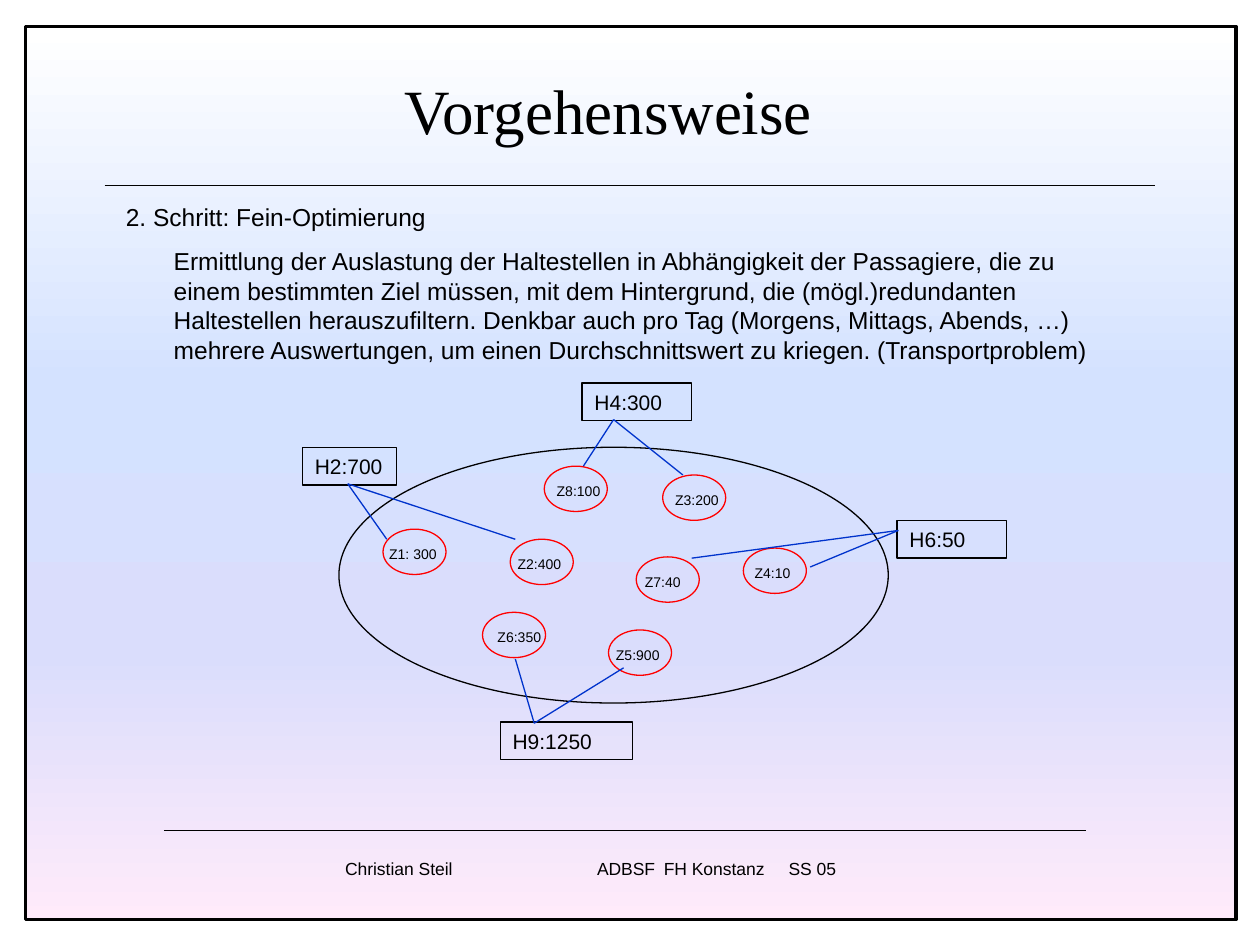
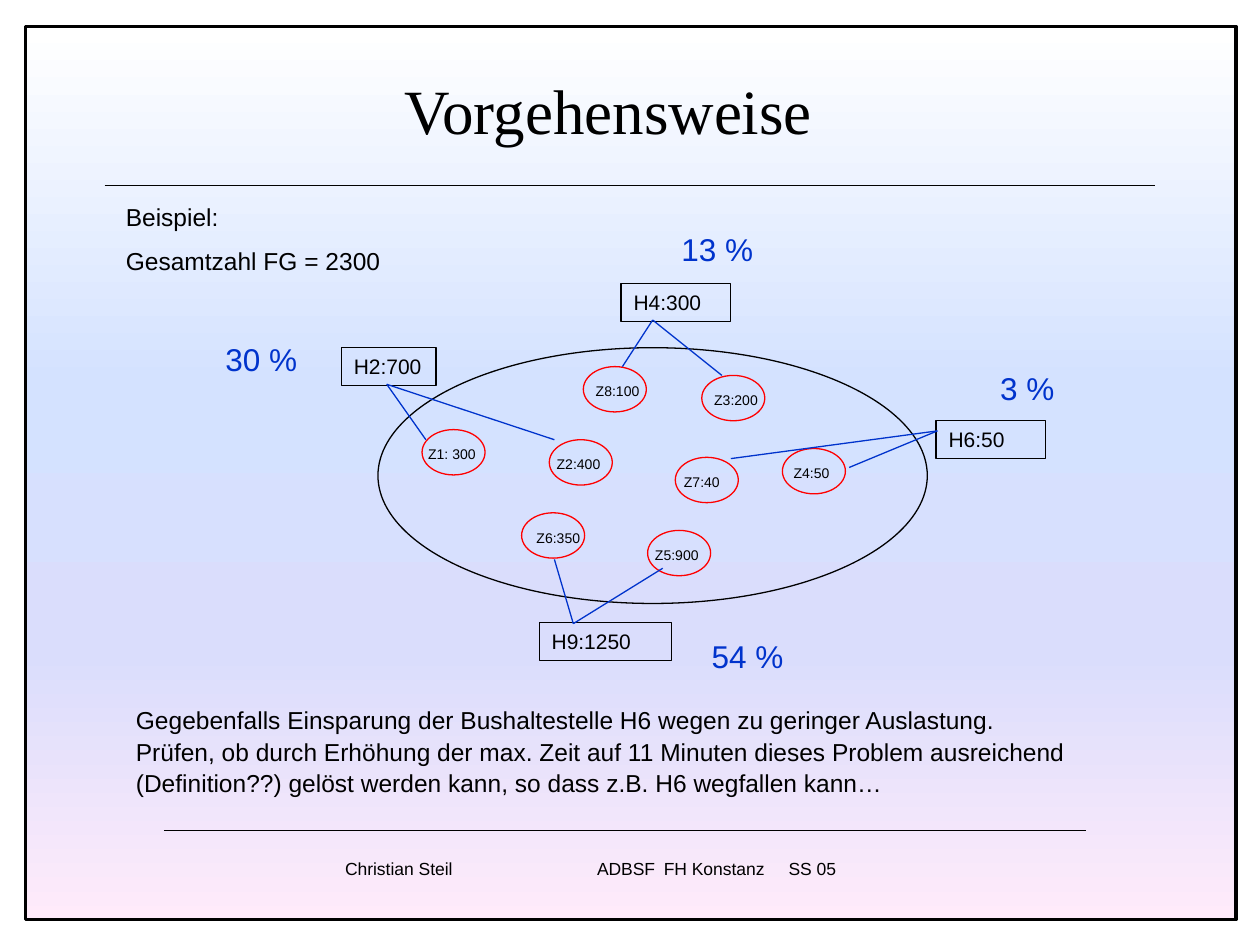
from lxml import etree
from pptx import Presentation
from pptx.dml.color import RGBColor
from pptx.enum.shapes import MSO_CONNECTOR, MSO_SHAPE
from pptx.enum.text import MSO_ANCHOR, MSO_AUTO_SIZE, PP_ALIGN
from pptx.oxml.ns import qn
from pptx.util import Inches, Pt

RECTANGLE = MSO_SHAPE.RECTANGLE
OVAL = MSO_SHAPE.OVAL
STRAIGHT = MSO_CONNECTOR.STRAIGHT
TOP = MSO_ANCHOR.TOP
LEFT, CENTER = PP_ALIGN.LEFT, PP_ALIGN.CENTER
NO_AUTOFIT = MSO_AUTO_SIZE.NONE

TITLE_FONT, BODY_FONT = "Times New Roman", "Arial"
BLACK, RED, BLUE = "000000", "FF0000", "0033CC"
BACKGROUND_STOPS = [(0, "FFFFFF"), (40, "D4E2FF"), (70, "DADDFC"), (100, "FFEBFA")]
FOOTER = "Christian Steil\tADBSF\tFH Konstanz\tSS 05"
FOOTER_TABS = [2, 2.53, 3.52]

# Everything in the network is measured in inches from the top left of its big oval.
NETWORK_SIZE = (4.36, 2.03)
ZONE_SIZE = (0.5, 0.36)
STOP_HEIGHT = 0.3
# name: left, top, shift of the label against the oval
ZONES = {
    "Z1": (0.35, 0.65, -0.05),
    "Z2": (1.36, 0.73, -0.04),
    "Z3": (2.57, 0.22, 0),
    "Z4": (3.21, 0.8, -0.01),
    "Z5": (2.14, 1.45, -0.04),
    "Z6": (1.14, 1.31, 0.02),
    "Z7": (2.36, 0.87, -0.03),
    "Z8": (1.63, 0.15, 0),
}
# label, left, top, width, start of its links, ends of its links
STOPS = [
    ("H2:700", -0.29, 0, 0.75, (0.07, 0.29), [(1.4, 0.73), (0.38, 0.73)]),
    ("H4:300", 1.93, -0.51, 0.87, (2.18, -0.22), [(1.94, 0.15), (2.73, 0.22)]),
    ("H6:50", 4.43, 0.58, 0.87, (4.44, 0.66), [(2.8, 0.88), (3.74, 0.95)]),
    ("H9:1250", 1.28, 2.18, 1.05, (1.55, 2.19), [(1.4, 1.68), (2.26, 1.75)]),
]
PASSENGERS = {"Z1": " 300", "Z2": "400", "Z3": "200", "Z4": "10",
              "Z5": "900", "Z6": "350", "Z7": "40", "Z8": "100"}
SHARES = [("30 %", 1.69, 2.65), ("13 %", 5.31, 1.78),
          ("54 %", 5.55, 5.01), ("3 %", 7.84, 2.88)]


def color(hex_string):
    return RGBColor.from_string(hex_string)


def place(shape, left, top, width, height):
    shape.left, shape.top = Inches(left), Inches(top)
    shape.width, shape.height = Inches(width), Inches(height)


def write(shape, lines, size, font=BODY_FONT, ink=BLACK, align=LEFT,
          space_before=0, line_spacing=None):
    frame = shape.text_frame
    frame.word_wrap = True
    frame.auto_size = NO_AUTOFIT
    frame.vertical_anchor = TOP
    frame.text = "\n".join(lines)
    for para in frame.paragraphs:
        para.alignment = align
        para.space_before = Pt(space_before)
        para.line_spacing = line_spacing
        for span in para.runs:
            span.font.size, span.font.name = Pt(size), font
            span.font.color.rgb = color(ink)
    return shape


def add_text(page, lines, area, size, **style):
    box = page.shapes.add_textbox(*map(Inches, area))
    return write(box, lines, size, **style)


def add_outline(page, kind, area, ink=BLACK, weight=0.75):
    shape = page.shapes.add_shape(kind, *map(Inches, area))
    shape.shadow.inherit = False
    shape.fill.background()
    shape.line.color.rgb = color(ink)
    shape.line.width = Pt(weight)
    return shape


def add_line(page, start, end, ink=BLACK):
    line = page.shapes.add_connector(STRAIGHT, *map(Inches, (*start, *end)))
    line.line.color.rgb = color(ink)
    line.line.width = Pt(0.75)
    etree.SubElement(line._element.spPr, qn("a:effectLst"))


def fill_gradient(shape, stops):
    """Fill from top to bottom with (percent, colour) stops."""
    shape.fill.gradient()
    shape.fill.gradient_angle = 270
    stop_list = shape._element.spPr.find(".//" + qn("a:gsLst"))
    for old_stop in list(stop_list):
        stop_list.remove(old_stop)
    for percent, hex_string in stops:
        stop = etree.SubElement(stop_list, qn("a:gs"), pos=str(percent * 1000))
        etree.SubElement(stop, qn("a:srgbClr"), val=hex_string)


def set_tabs(para, positions):
    tab_list = etree.SubElement(para._p.get_or_add_pPr(), qn("a:tabLst"))
    for position in positions:
        etree.SubElement(tab_list, qn("a:tab"), pos=str(Inches(position)), algn="l")


def add_page(deck, title_text):
    """Add a slide with the shared frame, rules, footer and title."""
    page = deck.slides.add_slide(deck.slide_layouts[5])
    frame = add_outline(page, RECTANGLE, (0.2, 0.21, 9.61, 7.09), weight=1.75)
    fill_gradient(frame, BACKGROUND_STOPS)
    add_line(page, (0.83, 1.47), (9.17, 1.47))
    add_line(page, (1.3, 6.59), (8.62, 6.59))
    footer = add_text(page, [FOOTER], (2.64, 6.76, 6.14, 0.3), 10)
    set_tabs(footer.text_frame.paragraphs[0], FOOTER_TABS)

    title = page.shapes.title
    place(title, 2.43, 0.52, 4.8, 0.7)
    write(title, [title_text], 36, font=TITLE_FONT, align=CENTER)
    page.shapes._spTree.append(title._element)  # in front of the frame
    return page


def add_network(page, left, top, passengers):
    """Draw the zones, the bus stops around them and their links."""
    def shift(x, y):
        return left + x, top + y

    add_outline(page, OVAL, (left, top, *NETWORK_SIZE))
    for label, x, y, width, _, _ in STOPS:
        box = add_outline(page, RECTANGLE, (*shift(x, y), width, STOP_HEIGHT))
        write(box, [label], 12)
    for zone, (x, y, label_shift) in ZONES.items():
        add_outline(page, OVAL, (*shift(x, y), *ZONE_SIZE), ink=RED)
        add_text(page, [f"{zone}:{passengers[zone]}"],
                 (*shift(x + label_shift, y + 0.08), 0.64, 0.24), 8)
    for *_, start, ends in STOPS:
        for end in ends:
            add_line(page, shift(*start), shift(*end), ink=BLUE)


def add_method_page(deck):
    page = add_page(deck, "Vorgehensweise")
    body = add_text(page, [
        "2. Schritt: Fein-Optimierung",
        "Ermittlung der Auslastung der Haltestellen in Abhängigkeit der Passagiere, "
        "die zu einem bestimmten Ziel müssen, mit dem Hintergrund, die "
        "(mögl.)redundanten Haltestellen herauszufiltern. Denkbar auch pro Tag "
        "(Morgens, Mittags, Abends, …) mehrere Auswertungen, um einen "
        "Durchschnittswert zu kriegen. (Transportproblem)",
    ], (0.9, 1.55, 7.95, 1.39), 14, space_before=8.8)
    explanation = body.text_frame.paragraphs[1]
    explanation._p.get_or_add_pPr().set("marL", str(Inches(0.38)))
    add_network(page, 2.69, 3.55, PASSENGERS)


def add_example_page(deck):
    page = add_page(deck, "Vorgehensweise")
    add_text(page, ["Beispiel:", "Gesamtzahl FG = 2300"],
             (0.9, 1.55, 7.95, 1.05), 14, space_before=8.8)
    add_network(page, 3, 2.76, {**PASSENGERS, "Z4": "50"})
    for share, left, top in SHARES:
        add_text(page, [share], (left, top, 1.1, 0.4), 18, ink=BLUE)
    add_text(page, [
        "Gegebenfalls Einsparung der Bushaltestelle H6 wegen zu geringer Auslastung.",
        "Prüfen, ob durch Erhöhung der max. Zeit auf 11 Minuten dieses Problem ausreichend",
        "(Definition??) gelöst werden kann, so dass z.B. H6 wegfallen kann…",
    ], (0.98, 5.64, 7.95, 1.09), 14, space_before=8.8, line_spacing=0.55)


def main():
    deck = Presentation()
    deck.slide_width, deck.slide_height = Inches(10), Inches(7.5)
    add_method_page(deck)
    add_example_page(deck)
    deck.save("out.pptx")


if __name__ == "__main__":
    main()
